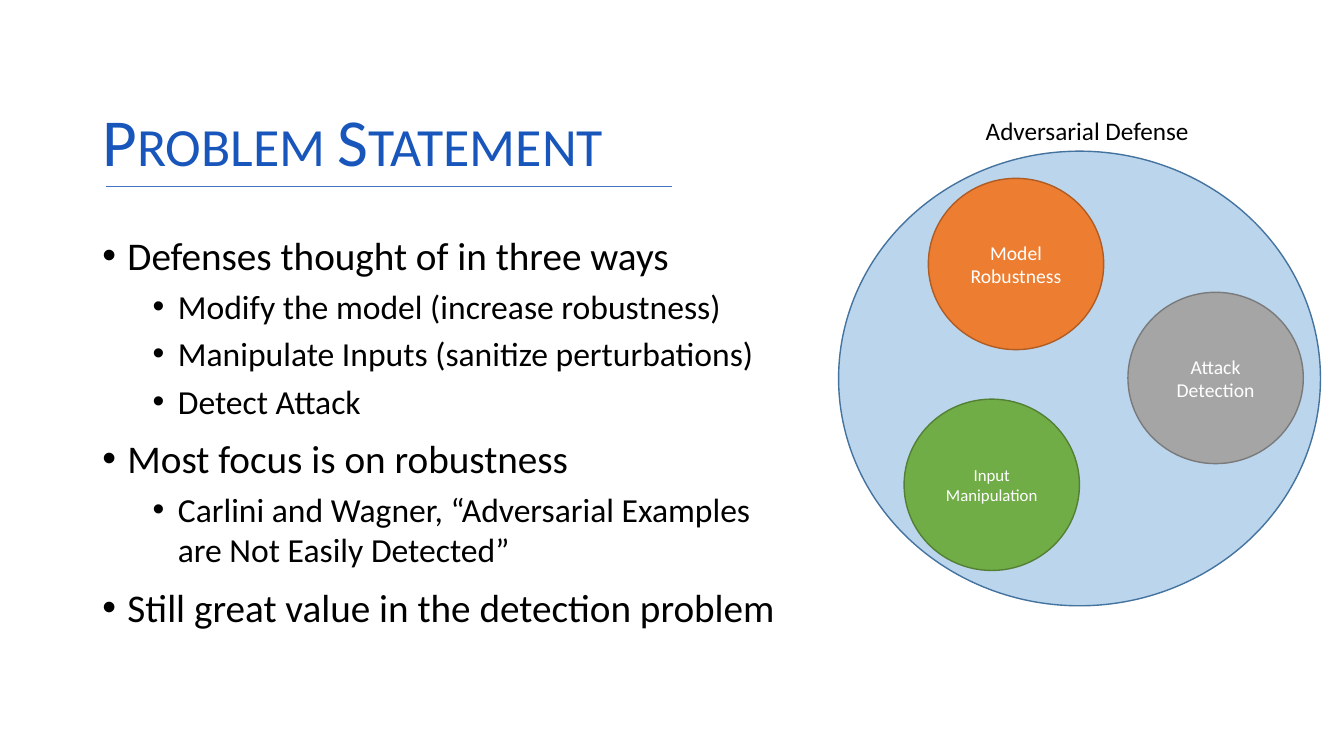
from dataclasses import dataclass

from lxml.etree import SubElement
from pptx import Presentation
from pptx.dml.color import RGBColor
from pptx.enum.shapes import MSO_CONNECTOR as CONN, MSO_SHAPE as SHAPE
from pptx.enum.text import MSO_ANCHOR as ANCHOR, PP_ALIGN as ALIGN
from pptx.oxml.ns import qn
from pptx.util import Pt

FONT = "Calibri"
COLORS = {
    "title": "1956BB", "rule": "4472C4", "text": "000000", "label": "FFFFFF",
    "defense": "5B9BD5", "defense_edge": "43739E",
    "detection": "A5A5A5", "detection_edge": "7A7A7A",
    "input": "70AD47", "input_edge": "538035",
    "model": "ED7D31", "model_edge": "AF5C24",
}
BULLET_STYLES = [  # by level: size, space before, left margin
    (28, 10, 18),
    (24, 5, 54),
]
BULLET_HANG = 18
CIRCLE_W, CIRCLE_H = 125.3, 122.4


@dataclass
class Bullet:
    text: str
    level: int = 0


@dataclass
class Ellipse:
    color: str
    left: float
    top: float
    width: float = CIRCLE_W
    height: float = CIRCLE_H
    label: str = ""
    size: float = 14
    opacity: int = 100


BULLETS = [
    Bullet("Defenses thought of in three ways"),
    Bullet("Modify the model (increase robustness)", 1),
    Bullet("Manipulate Inputs (sanitize perturbations)", 1),
    Bullet("Detect Attack", 1),
    Bullet("Most focus is on robustness"),
    Bullet("Carlini and Wagner, “Adversarial Examples are Not Easily Detected”", 1),
    Bullet("Still great value in the detection problem"),
]
ELLIPSES = [
    Ellipse("defense", 599, 108, 344.2, 324.7, opacity=41),
    Ellipse("detection", 805.7, 208.8, label="Attack Detection"),
    Ellipse("input", 645.8, 285.1, label="Input Manipulation", size=12),
    Ellipse("model", 663.1, 127.4, label="Model Robustness"),
]


def rgb(name: str) -> RGBColor:
    return RGBColor.from_string(COLORS[name])


def set_attrs(obj, values: dict) -> None:
    for name, value in values.items():
        setattr(obj, name, value)


def add_run(p, text: str, size: float, color: str):
    r = p.add_run()
    r.text = text
    set_attrs(r.font, {"name": FONT, "size": Pt(size), "bold": False})
    r.font.color.rgb = rgb(color)
    return r


def format_title(sp) -> None:
    set_attrs(sp, {"left": Pt(66), "top": Pt(28.8), "width": Pt(828), "height": Pt(104.4)})
    tf = sp.text_frame
    set_attrs(tf, {"vertical_anchor": ANCHOR.BOTTOM, "word_wrap": True})
    p = tf.paragraphs[0]
    set_attrs(p, {"alignment": ALIGN.LEFT, "line_spacing": 0.9})
    r = add_run(p, "Problem Statement", 48, "title")
    r.font._element.set("cap", "small")


def add_rule(slide) -> None:
    line = slide.shapes.add_connector(CONN.STRAIGHT, Pt(75.6), Pt(133.2), Pt(480.2), Pt(133.2))
    line.line.color.rgb = rgb("rule")
    line.line.width = Pt(0.5)
    SubElement(line._element.spPr, qn("a:effectLst"))


def add_bullets(slide, bullets: list[Bullet]) -> None:
    tf = slide.shapes.add_textbox(Pt(66), Pt(162), Pt(499), Pt(324.7)).text_frame
    tf.word_wrap = True
    for i, bullet in enumerate(bullets):
        p = tf.add_paragraph() if i else tf.paragraphs[0]
        size, before, margin = BULLET_STYLES[bullet.level]
        set_attrs(p, {"level": bullet.level, "space_before": Pt(before)})
        pPr = p._p.get_or_add_pPr()
        pPr.set("marL", str(Pt(margin)))
        pPr.set("indent", str(-Pt(BULLET_HANG)))
        SubElement(pPr, qn("a:buFont"), typeface="Arial")
        SubElement(pPr, qn("a:buChar"), char="•")
        add_run(p, bullet.text, size, "text")


def add_ellipse(slide, e: Ellipse) -> None:
    sp = slide.shapes.add_shape(SHAPE.OVAL, Pt(e.left), Pt(e.top), Pt(e.width), Pt(e.height))
    sp.shadow.inherit = False
    sp.fill.solid()
    sp.fill.fore_color.rgb = rgb(e.color)
    if e.opacity < 100:
        color = sp._element.spPr.find(qn("a:solidFill"))[0]
        SubElement(color, qn("a:alpha"), val=str(e.opacity * 1000))
    sp.line.color.rgb = rgb(f"{e.color}_edge")
    sp.line.width = Pt(1)
    if e.label:
        tf = sp.text_frame
        set_attrs(tf, {"word_wrap": True, "vertical_anchor": ANCHOR.MIDDLE})
        tf.paragraphs[0].alignment = ALIGN.CENTER
        add_run(tf.paragraphs[0], e.label, e.size, "label")


def add_caption(slide) -> None:
    tf = slide.shapes.add_textbox(Pt(697), Pt(78.5), Pt(182.9), Pt(29)).text_frame
    tf.word_wrap = True
    add_run(tf.paragraphs[0], "Adversarial Defense", 18, "text")


def main() -> None:
    prs = Presentation()
    set_attrs(prs, {"slide_width": Pt(960), "slide_height": Pt(540)})
    slide = prs.slides.add_slide(prs.slide_layouts[5])
    format_title(slide.shapes.title)
    add_rule(slide)
    add_bullets(slide, BULLETS)
    for ellipse in ELLIPSES:
        add_ellipse(slide, ellipse)
    add_caption(slide)
    prs.save("out.pptx")


if __name__ == "__main__":
    main()
